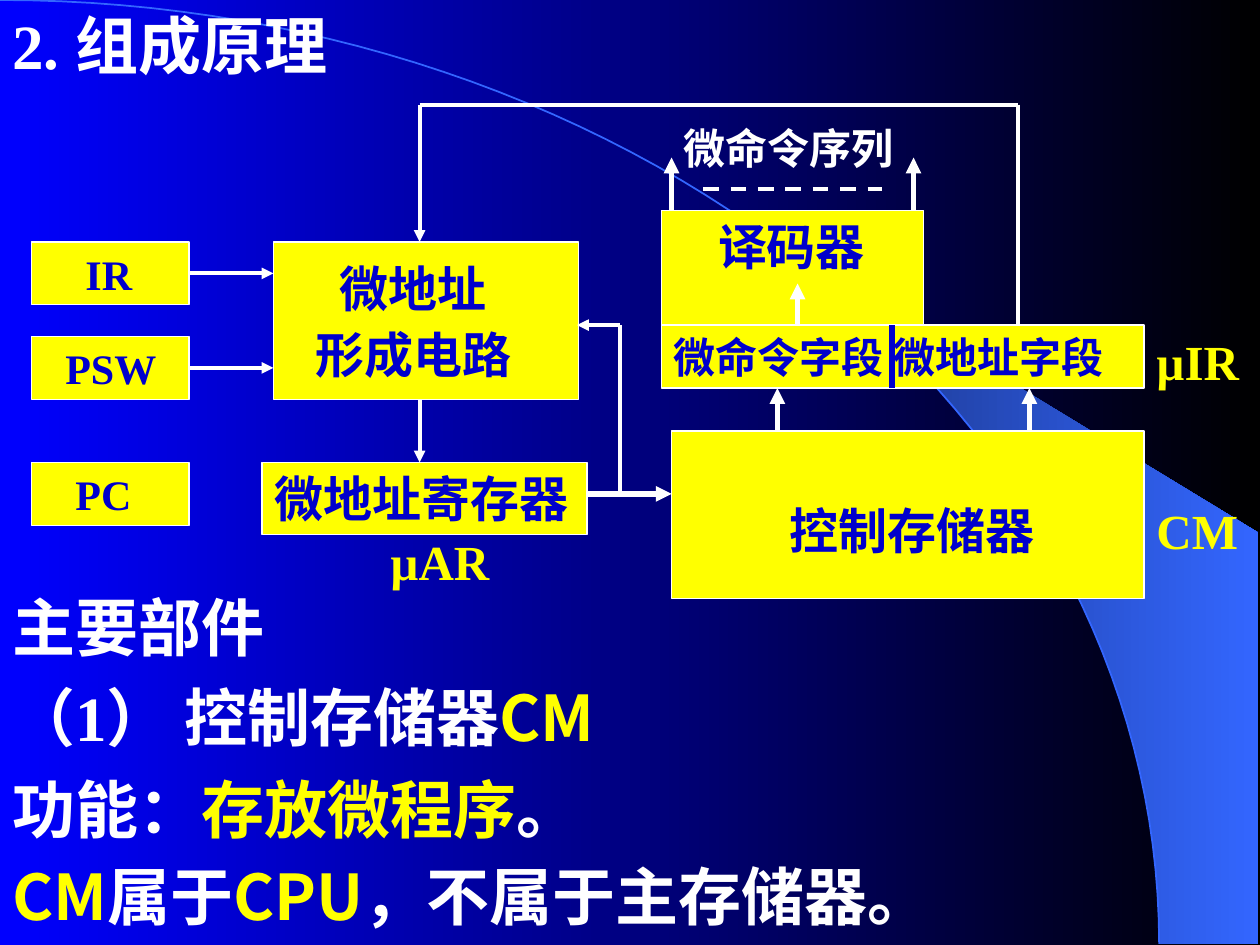
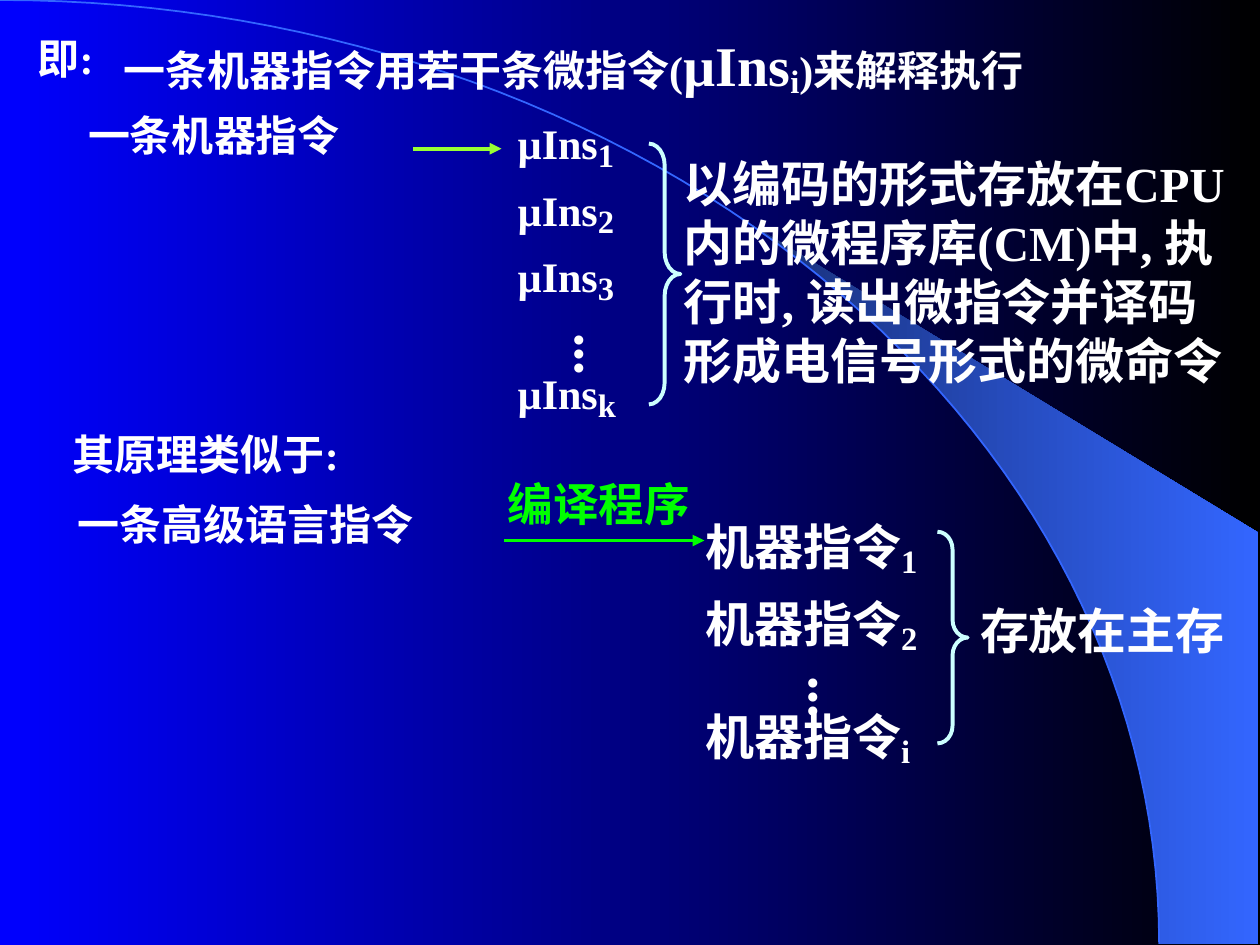
from dataclasses import dataclass
from math import acos, cos, sin
from typing import Any

from lxml.etree import SubElement
from pptx import Presentation
from pptx.dml.color import RGBColor
from pptx.enum.dml import MSO_LINE
from pptx.enum.shapes import MSO_CONNECTOR, MSO_SHAPE
from pptx.enum.text import MSO_ANCHOR, PP_ALIGN
from pptx.oxml.ns import qn
from pptx.util import Inches, Pt

WIDE, HIGH = 10, 7.5
WHITE, YELLOW, NAVY = "FFFFFF", "FFFF00", "0000CC"
BLUE, DEEP, SKY = "3366FF", "182F76", "CCFFFF"
LIME, GREEN = "99FF33", "00FF00"
SERIF, SANS = "Times New Roman", "Noto Sans CJK SC"
RX, RY = 9.2, 7.49


def tint(code):
    return RGBColor.from_string(code)


def blend(fill, first, last):
    fill.gradient()
    fill.gradient_angle = 0
    for stop, code in zip(fill.gradient_stops, (first, last)):
        stop.color.rgb = tint(code)


def style(run, size, color, font=SERIF, base=0):
    run.font.size = Pt(size)
    run.font.bold = True
    run.font.name = font
    run.font.color.rgb = tint(color)
    props = run.font._element
    SubElement(props, qn("a:ea")).set("typeface", SANS)
    if base:
        props.set("baseline", str(base * 1000))


def write(shape, paras, size=24, color=WHITE, font=SERIF, lead=None,
          pad=0, gap=0, align=PP_ALIGN.LEFT):
    frame = shape.text_frame
    frame.word_wrap = True
    frame.vertical_anchor = MSO_ANCHOR.TOP
    paras = [[paras]] if isinstance(paras, str) else paras
    for num, parts in enumerate(paras):
        para = frame.add_paragraph() if num else frame.paragraphs[0]
        para.alignment = align
        if pad:
            para._p.get_or_add_pPr().set("marL", str(Inches(pad)))
        if lead:
            para.line_spacing = lead
        if num and gap:
            para.space_before = Pt(gap)
        for part in parts:
            words, extra = (part, {}) if isinstance(part, str) else part
            run = para.add_run()
            run.text = words
            style(run, **{"size": size, "color": color, "font": font, **extra})
    return frame


@dataclass
class Area:
    slide: Any
    left: float
    top: float

    def place(self, x, y):
        return Inches(self.left + x), Inches(self.top + y)

    def text(self, x, y, w, h, paras, **look):
        box = self.slide.shapes.add_textbox(*self.place(x, y), Inches(w), Inches(h))
        write(box, paras, **look)
        return box

    def preset(self, kind, x, y, w, h):
        shape = self.slide.shapes.add_shape(kind, *self.place(x, y), Inches(w), Inches(h))
        shape.shadow.inherit = False
        return shape

    def block(self, x, y, w, h, words="", **look):
        shape = self.preset(MSO_SHAPE.RECTANGLE, x, y, w, h)
        shape.fill.solid()
        shape.fill.fore_color.rgb = tint(YELLOW)
        shape.line.color.rgb = tint(WHITE)
        shape.line.width = Pt(0.75)
        if words:
            write(shape, words, **{"color": NAVY, **look})

    def brace(self, x, y, w, h):
        shape = self.preset(MSO_SHAPE.RIGHT_BRACE, x, y, w, h)
        shape.adjustments[0] = h / 12 / w
        shape.fill.background()
        shape.line.color.rgb = tint(SKY)
        shape.line.width = Pt(2.25)

    def line(self, x1, y1, x2, y2, width=2.25, color=WHITE, tip=False, dash=False):
        wire = self.slide.shapes.add_connector(
            MSO_CONNECTOR.STRAIGHT, *self.place(x1, y1), *self.place(x2, y2))
        wire.line.color.rgb = tint(color)
        wire.line.width = Pt(width)
        if dash:
            wire.line.dash_style = MSO_LINE.DASH
        if tip:
            SubElement(wire.line._get_or_add_ln(), qn("a:tailEnd")).set("type", "triangle")
        SubElement(wire._element.spPr, qn("a:effectLst"))

    def dots(self, x, y, w, h):
        box = self.text(x, y, w, h, "...", size=32)
        frame = box.text_frame
        frame.margin_left = frame.margin_right = Inches(0.05)
        frame.margin_top = frame.margin_bottom = Inches(0.1)
        box._element.txBody.bodyPr.set("vert", "eaVert")


def curve(start, steps=60):
    first = acos(start / RX)
    turns = [first * (1 - i / steps) for i in range(steps + 1)]
    return [(RX * cos(t), RY - RY * sin(t)) for t in turns]


def outline(slide, points, close):
    points = [(Inches(x), Inches(y)) for x, y in points]
    pen = slide.shapes.build_freeform(*points[0], scale=1)
    pen.add_line_segments(points[1:], close=close)
    shape = pen.convert_to_shape()
    shape.shadow.inherit = False
    return shape


def scene(deck):
    slide = deck.slides.add_slide(deck.slide_layouts[6])
    blend(slide.background.fill, "0000FF", "000000")
    wedge = outline(slide, curve(5.89) + [(9.99, RY), (9.99, 4.23)], True)
    blend(wedge.fill, DEEP, BLUE)
    wedge.line.fill.background()
    arc = outline(slide, curve(0), False)
    arc.fill.background()
    arc.line.color.rgb = tint(BLUE)
    arc.line.width = Pt(1)
    return slide


def units(slide, left, top):
    area = Area(slide, left, top)
    area.block(1.92, 1.09, 2.42, 1.25)
    area.text(1.92, 1.34, 2.22, 0.91, [["微地址"], ["形成电路"]], size=28,
              color=NAVY, lead=0.6, gap=17.5, align=PP_ALIGN.CENTER)
    for y, name, pad in ((1.09, "IR", 0.33), (1.84, "PSW", 0.17), (2.84, "PC", 0.25)):
        area.block(0, y, 1.25, 0.5, name, pad=pad)
    area.block(1.83, 2.84, 2.58, 0.57, "微地址寄存器", size=28)
    area.block(5.08, 2.59, 3.75, 1.33)
    area.text(5.92, 3.09, 2.33, 0.57, "控制存储器", size=28, color=NAVY)
    area.block(5, 0.84, 2.08, 1.04, "译码器", size=28, pad=0.35)
    area.text(5.08, 0.09, 2.08, 0.5, "微命令序列")
    area.block(5, 1.75, 3.83, 0.5, "微命令字段 微地址字段", font=SANS)
    for x, y, w, name in ((2.75, 3.34, 1.25, "µAR"), (8.83, 3.09, 0.92, "CM"),
                          (8.83, 1.75, 0.92, "µIR")):
        area.text(x, y, w, 0.57, name, size=28, color=YELLOW)


def wires(slide, left, top):
    area = Area(slide, left, top)
    area.line(6.83, 1.75, 6.83, 2.25, width=3, color=NAVY)
    rises = ((5.92, 2.59, 2.25), (7.92, 2.59, 2.25), (6.08, 1.75, 1.42),
             (5.08, 0.84, 0.42), (7, 0.84, 0.42))
    for x, low, high in rises:
        area.line(x, low, x, high, width=3, tip=True)
    area.line(5.33, 0.67, 6.75, 0.67, dash=True)
    area.line(4.42, 3.09, 5.08, 3.09, width=3, tip=True)
    for ends in ((4.67, 3.09, 4.67, 1.75), (3.08, 0, 7.83, 0), (7.83, 0, 7.83, 1.75)):
        area.line(*ends)
    for ends in ((4.67, 1.75, 4.33, 1.75), (3.08, 2.34, 3.08, 2.84),
                 (1.25, 1.34, 1.92, 1.34), (1.25, 2.09, 1.92, 2.09),
                 (3.08, 0, 3.08, 1.09)):
        area.line(*ends, tip=True)


def notes(slide, left, top):
    area = Area(slide, left, top)
    white, gold = {"color": WHITE}, {"color": YELLOW}
    rows = (
        (0, 0, 4.69, 0.6, ["主要部件"]),
        (0, 0.67, 6.08, 0.7, [("（1） ", {"font": SERIF}), "控制存储器", ("CM", gold)]),
        (0, 1.4, 1.83, 0.7, ["功能："]),
        (1.5, 1.4, 4.83, 0.7, [("存放微程序", gold), ("。", white)]),
        (0, 2.09, 8.5, 0.7, [("CM", gold), "属于", ("CPU", gold), "，不属于主存储器。"]),
    )
    for x, y, w, lead, parts in rows:
        area.text(x, y, w, 0.52, [parts], size=36, font=SANS, lead=lead)


def micro(slide, left, top):
    area = Area(slide, left, top)
    area.text(0, 0.02, 1, 0.5, "即:")
    area.text(0.68, 0, 9.1, 0.66, [[
        "一条机器指令用若干条微指令(", ("µIns", {"size": 32}),
        ("i", {"size": 32, "base": -14}), ")来解释执行"]])
    area.text(0.4, 0.63, 3.39, 0.5, "一条机器指令")
    area.line(3.08, 0.99, 3.78, 0.99, color=LIME, tip=True)
    series(area, 3.81, 0.6, 1.47, 2.61, "µIns", "123k", 24, 0.95, 27)
    area.dots(4.13, 2.36, 0.73, 0.67)
    area.brace(4.95, 0.95, 0.25, 2.07)
    area.text(5.13, 0.98, 4.53, 2.44,
              "以编码的形式存放在CPU内的微程序库(CM)中, 执行时, "
              "读出微指令并译码形成电信号形式的微命令", size=28)


def series(area, x, y, w, h, stem, marks, size, lead, gap):
    paras = [[stem, (mark, {"size": 32, "base": -14})] for mark in marks]
    frame = area.text(x, y, w, h, paras, size=size, lead=lead).text_frame
    last = frame.paragraphs[-1]
    last.line_spacing = 1.0
    last.space_before = Pt(gap)


def macro(slide, left, top):
    area = Area(slide, left, top)
    area.text(0, 0, 3.36, 0.5, "其原理类似于:")
    area.text(0.04, 0.56, 4.13, 0.5, "一条高级语言指令")
    area.line(3.52, 0.94, 5.11, 0.94, color=GREEN, tip=True)
    area.text(3.45, 0.38, 1.82, 0.54, "编译程序", size=26, color=GREEN)
    series(area, 5.02, 0.59, 2.34, 2.23, "机器指令", "12i", 28, 1.1, 24)
    area.dots(5.71, 1.92, 0.73, 0.79)
    area.brace(6.96, 0.87, 0.24, 1.68)
    area.text(7.2, 1.32, 2.24, 0.62, "存放在主存", size=28, lead=1.1)


def main():
    deck = Presentation()
    deck.slide_width, deck.slide_height = Inches(WIDE), Inches(HIGH)
    first = scene(deck)
    Area(first, 0, 0).text(0, 0, 4.67, 0.7, "2. 组成原理", size=36)
    units(first, 0.25, 0.83)
    wires(first, 0.25, 0.83)
    notes(first, 0, 4.83)
    second = scene(deck)
    micro(second, 0.2, 0.19)
    macro(second, 0.48, 3.35)
    deck.save("out.pptx")


if __name__ == "__main__":
    main()
